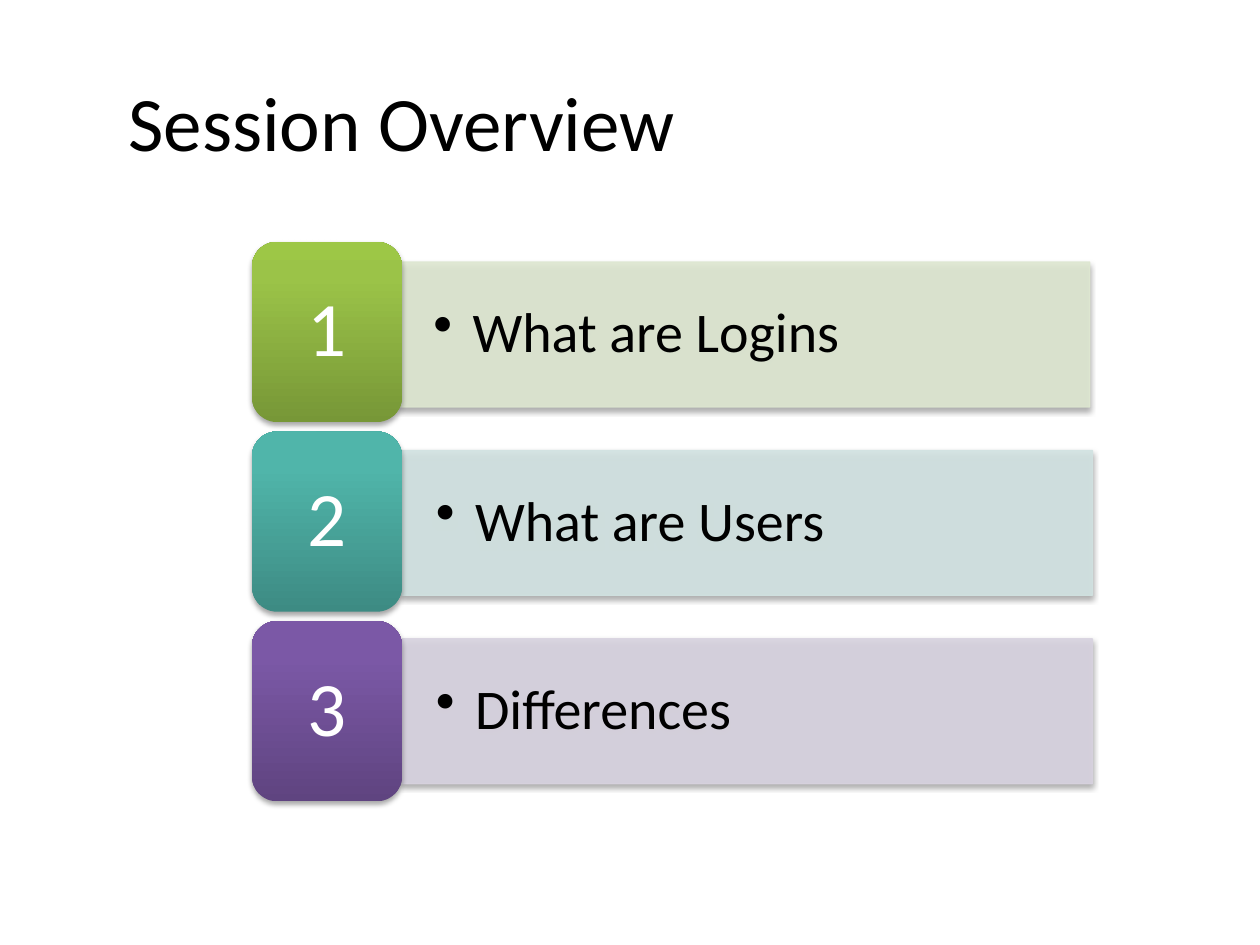
from lxml.etree import SubElement
from pptx import Presentation
from pptx.dml.color import RGBColor
from pptx.enum.shapes import MSO_SHAPE
from pptx.enum.text import MSO_ANCHOR, PP_ALIGN
from pptx.oxml.ns import qn
from pptx.util import Inches, Pt

FONT = "Calibri"
COLORS = {
    "ink": "000000", "white": "FFFFFF",
    "green": ("779737", "9BC348", "9DC746"), "green bar": "DEE7D1",
    "teal": ("3D8B83", "50B5AA", "4EB8AC"), "teal bar": "D2E3E2",
    "plum": ("5F4480", "7B58A6", "7C57A8"), "plum bar": "D8D3E0",
}
# Topic, hue, left edge of the bar
TOPICS = [
    ("What are Logins", "green", 3.17),
    ("What are Users", "teal", 3.19),
    ("Differences", "plum", 3.19),
]
TILE_TOP, TILE_STEP = 1.92, 1.505
BAR_TOP, BAR_STEP = 2.08, 1.495


def add_node(host, tag, **attrs):
    """Append a DrawingML element with the given attributes."""
    return SubElement(host, qn("a:" + tag), {k: str(v) for k, v in attrs.items()})


def add_tint(host, color, alpha):
    """Append a colour with an opacity in percent."""
    tint = add_node(host, "srgbClr", val=color)
    add_node(tint, "alpha", val=alpha * 1000)


def add_shade(shape):
    """Give a shape a soft shadow below it."""
    shape.shadow.inherit = False
    glow = shape._element.spPr.find(qn("a:effectLst"))
    drop = add_node(glow, "outerShdw", blurRad=Pt(3.1), dist=Pt(1.8),
                    dir=5400000, rotWithShape=0)
    add_tint(drop, COLORS["ink"], 35)


def set_solid(fill, color):
    """Fill with a colour at 90 percent opacity."""
    fill.solid()
    fill.fore_color.rgb = RGBColor.from_string(color)


def set_blend(shape, colors):
    """Fill a shape with a three-stop gradient rising from its foot."""
    shape.fill.gradient()
    shape.fill.gradient_angle = 90
    grad = shape._element.spPr.find(qn("a:gradFill"))
    grad.find(qn("a:lin")).set("ang", "16200000")
    stops = grad.find(qn("a:gsLst"))
    for stop in list(stops):
        stops.remove(stop)
    for share, color in zip((0, 80, 100), colors):
        stop = add_node(stops, "gs", pos=share * 1000)
        add_node(stop, "srgbClr", val=color)


def set_text(shape, text, size, color, align, pad=None):
    """Write one middle-anchored paragraph and return it."""
    frame = shape.text_frame
    frame.text = text
    frame.word_wrap = True
    frame.vertical_anchor = MSO_ANCHOR.MIDDLE
    if pad:
        frame.margin_left = frame.margin_right = Inches(pad)
        frame.margin_top = frame.margin_bottom = Inches(pad / 2)
    para = frame.paragraphs[0]
    para.alignment = align
    para.font.name, para.font.size = FONT, Pt(size)
    para.font.color.rgb = RGBColor.from_string(color)
    return para


def add_bar(slide, row, text, hue, left):
    """Add the pale bar with a bulleted topic."""
    bar = slide.shapes.add_shape(
        MSO_SHAPE.RECTANGLE, Inches(left), Inches(BAR_TOP + row * BAR_STEP),
        Inches(5.48), Inches(1.15))
    color = COLORS[hue + " bar"]
    set_solid(bar.fill, color)
    set_solid(bar.line.fill, color)
    bar.line.width = Pt(0.75)
    for tint in bar._element.spPr.iter(qn("a:srgbClr")):
        add_node(tint, "alpha", val=90000)
    add_shade(bar)
    para = set_text(bar, text, 32, COLORS["ink"], PP_ALIGN.LEFT, 0.27)
    para.level, para.line_spacing = 1, 0.9
    props = para._p.get_or_add_pPr()
    props.set("marL", str(Inches(0.31)))
    props.set("indent", str(Inches(-0.31)))
    mark = add_node(props, "buChar", char="•")
    props.find(qn("a:defRPr")).addprevious(mark)


def add_tile(slide, row, hue):
    """Add the rounded tile with the row's number."""
    tile = slide.shapes.add_shape(
        MSO_SHAPE.ROUNDED_RECTANGLE, Inches(2),
        Inches(TILE_TOP + row * TILE_STEP), Inches(1.19), Inches(1.43))
    set_blend(tile, COLORS[hue])
    tile.line.fill.background()
    add_shade(tile)
    para = set_text(tile, str(row + 1), 44, COLORS["white"], PP_ALIGN.CENTER, 0.18)
    para.line_spacing = 0.9


def add_title(slide, text):
    """Place and format the title placeholder."""
    title = slide.shapes.title
    title.left, title.top = Inches(0.92), Inches(0.33)
    title.width, title.height = Inches(8.83), Inches(1.25)
    set_text(title, text, 44, COLORS["ink"], PP_ALIGN.LEFT)


def main():
    """Build the overview slide."""
    deck = Presentation()
    deck.slide_width, deck.slide_height = Inches(10), Inches(7.5)
    slide = deck.slides.add_slide(deck.slide_layouts[5])
    add_title(slide, "Session Overview")
    for row, (text, hue, left) in enumerate(TOPICS):
        add_bar(slide, row, text, hue, left)
        add_tile(slide, row, hue)
    deck.save("out.pptx")


main()
